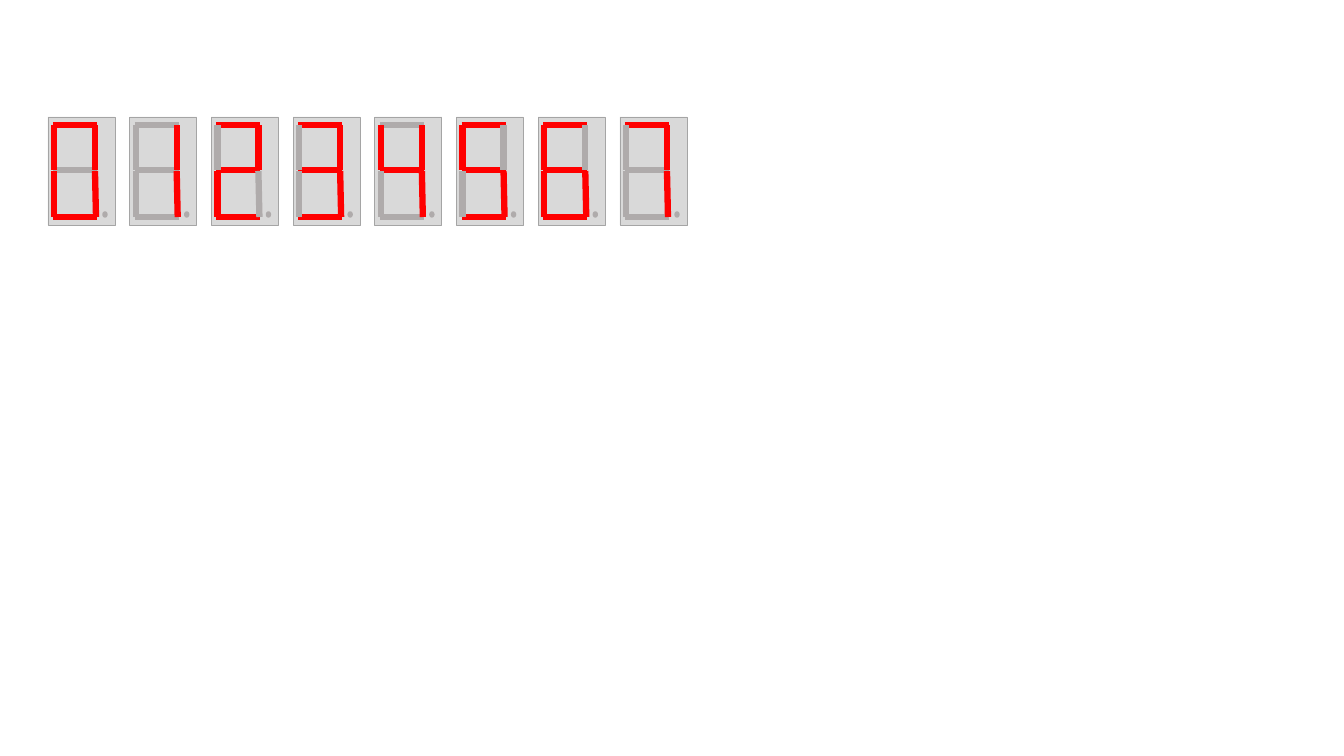
from lxml.etree import SubElement
from pptx import Presentation
from pptx.dml.color import RGBColor
from pptx.enum.shapes import MSO_CONNECTOR as Connector, MSO_SHAPE as Shape
from pptx.oxml.ns import qn
from pptx.util import Pt

COLORS = {"panel": "D9D9D9", "border": "A5A5A5", "lit": "FF0000", "unlit": "AFABAB"}

# Lit segments of the digits 0 to 7, in display order
DIGITS = ["abcdef", "bc", "abged", "abgcd", "fgbc", "afgcd", "afgecd", "abc"]

# Segment ends (x1, y1, x2, y2) inside a panel, from back to front
SEGMENTS = {
    "a": (5, 8, 49, 8),
    "g": (5, 53, 49, 53),
    "d": (5, 100, 49, 100),
    "f": (6, 53, 6, 8),
    "b": (47, 53, 47, 8),
    "e": (6, 100, 6, 54),
    "c": (48, 100, 47, 54),
}
PANEL = (0, 0, 67, 108)
DOT = (55, 95, 4, 5)

SLIDE_WIDTH, SLIDE_HEIGHT = 1344, 756
FIRST_LEFT, LAST_LEFT, TOP = 48, 620, 117
EMU_PER_PIXEL = 12192000 / SLIDE_WIDTH


def emu(pixels):
    """Turn pixels into EMU."""
    return round(pixels * EMU_PER_PIXEL)


def color(name):
    """Look up a named colour."""
    return RGBColor.from_string(COLORS[name])


def add_filled(group, kind, left, box, fill, border, weight):
    """Add a filled shape to a display group."""
    x, y, width, height = box
    shape = group.shapes.add_shape(kind, emu(left + x), emu(TOP + y), emu(width), emu(height))
    shape.shadow.inherit = False
    shape.fill.solid()
    shape.fill.fore_color.rgb = color(fill)
    shape.line.color.rgb = color(border)
    shape.line.width = Pt(weight)


def add_segment(group, left, ends, state):
    """Add one bar of a digit in its lit or unlit colour."""
    x1, y1, x2, y2 = ends
    segment = group.shapes.add_connector(
        Connector.STRAIGHT, emu(left + x1), emu(TOP + y1), emu(left + x2), emu(TOP + y2))
    segment.line.color.rgb = color(state)
    segment.line.width = Pt(4.5)
    SubElement(segment._element.spPr, qn("a:effectLst"))


def add_display(slide, left, lit):
    """Add a grouped seven-segment display showing the lit segments."""
    group = slide.shapes.add_group_shape()
    add_filled(group, Shape.RECTANGLE, left, PANEL, "panel", "border", 0.5)
    for name, ends in SEGMENTS.items():
        add_segment(group, left, ends, "lit" if name in lit else "unlit")
    add_filled(group, Shape.OVAL, left, DOT, "unlit", "unlit", 1)


presentation = Presentation()
presentation.slide_width = emu(SLIDE_WIDTH)
presentation.slide_height = emu(SLIDE_HEIGHT)
slide = presentation.slides.add_slide(presentation.slide_layouts[6])

pitch = (LAST_LEFT - FIRST_LEFT) / (len(DIGITS) - 1)
for index, lit in enumerate(DIGITS):
    add_display(slide, FIRST_LEFT + index * pitch, lit)

presentation.save("out.pptx")
